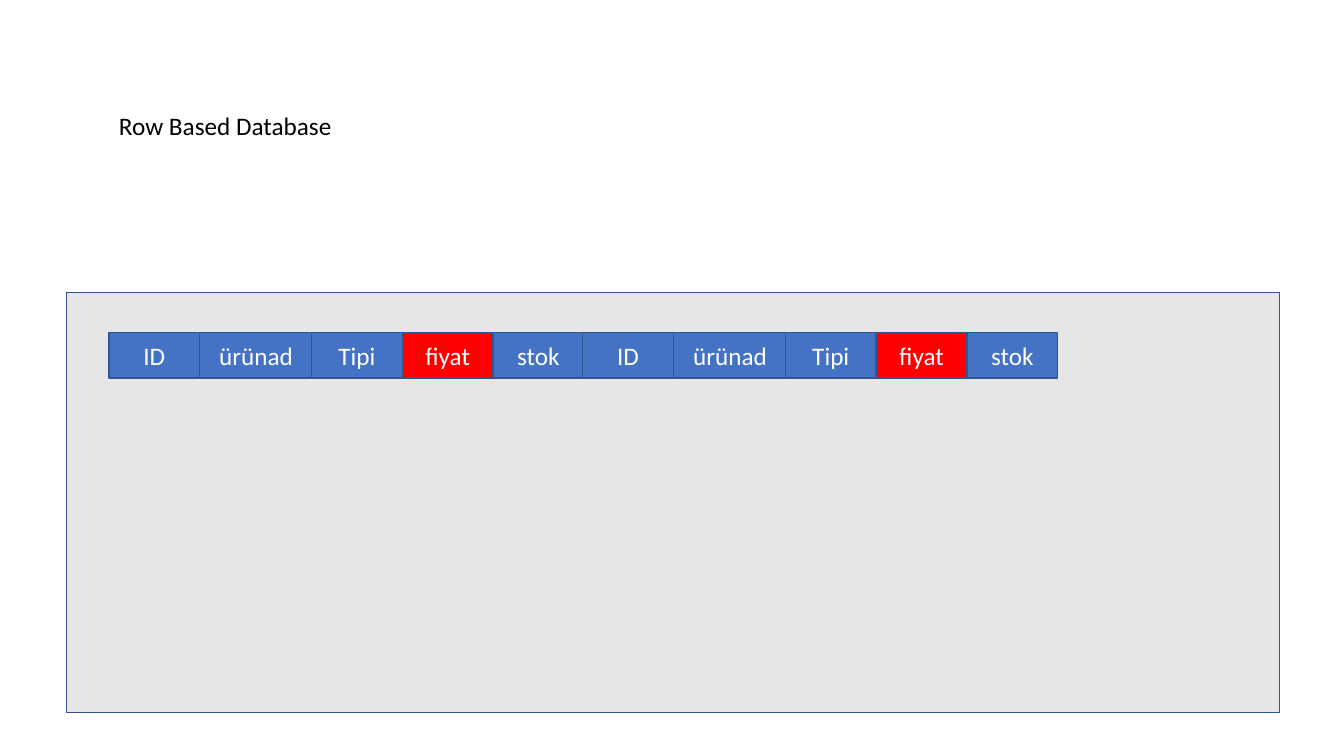
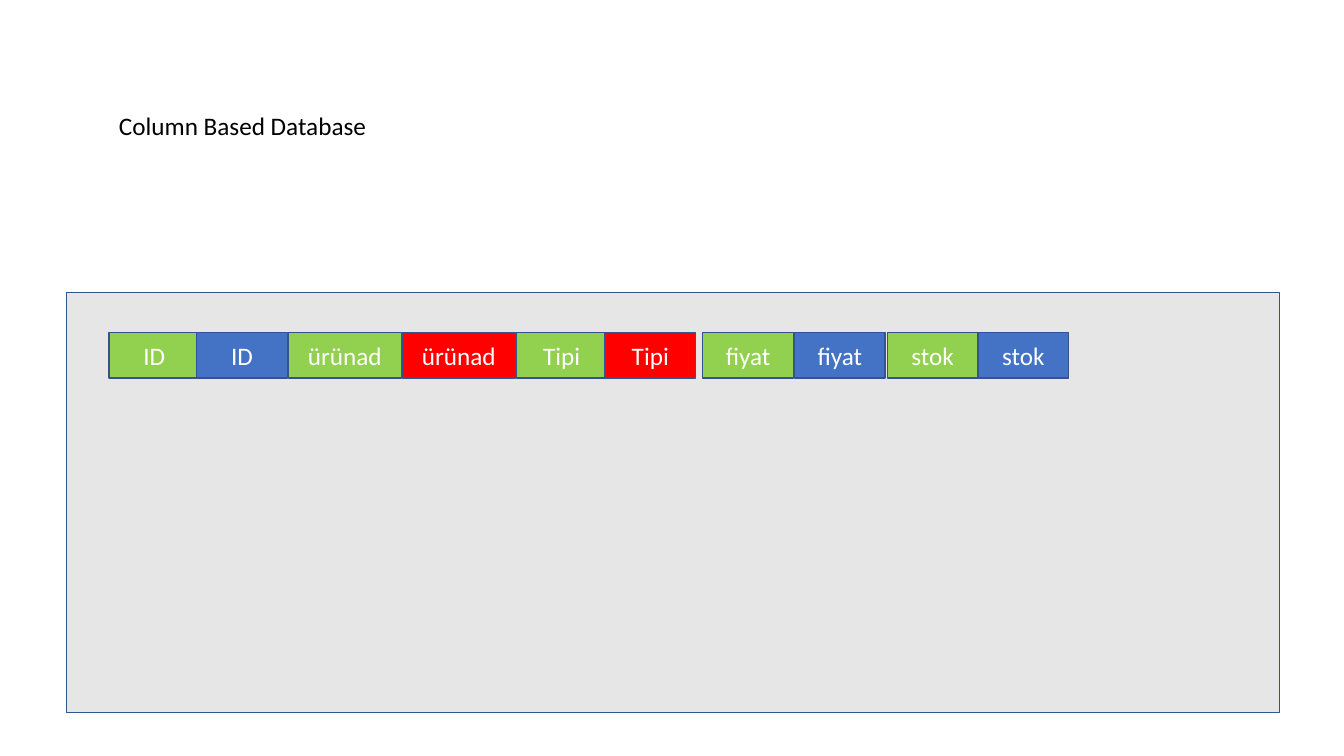
from typing import NamedTuple

from pptx import Presentation
from pptx.dml.color import RGBColor
from pptx.enum.shapes import MSO_SHAPE
from pptx.enum.text import MSO_ANCHOR, MSO_AUTO_SIZE, PP_ALIGN
from pptx.util import Inches, Pt

WHITE = RGBColor(0xFF, 0xFF, 0xFF)
BLACK = RGBColor(0x00, 0x00, 0x00)
GRAY = RGBColor(0xE7, 0xE6, 0xE6)
BLUE = RGBColor(0x44, 0x72, 0xC4)
DARK_BLUE = RGBColor(0x32, 0x54, 0x91)
RED = RGBColor(0xFF, 0x00, 0x00)
GREEN = RGBColor(0x92, 0xD0, 0x50)

CELL_TOP, CELL_HEIGHT = 3.3, 0.45
FIRST_LEFT = 1.08
RECORD_PITCH = 4.7
WIDTHS = {"ID": 0.9, "ürünad": 1.12, "Tipi": 0.9, "fiyat": 0.9, "stok": 0.9}
FRAME_FORMAT = {"margin_left": Inches(0.1), "margin_right": Inches(0.1),
                "margin_top": Inches(0.05), "margin_bottom": Inches(0.05)}


class Cell(NamedTuple):
    label: str
    left: float
    fill: RGBColor


class Page(NamedTuple):
    title: str
    title_width: float
    cells: list[Cell]


def row_cells() -> list[Cell]:
    """Two whole records, one after the other."""
    offsets = {"ID": 0, "ürünad": 0.9, "Tipi": 2.01, "fiyat": 2.91, "stok": 3.81}
    return [Cell(label, FIRST_LEFT + record * RECORD_PITCH + offset,
                 RED if label == "fiyat" else BLUE)
            for record in range(2) for label, offset in offsets.items()]


def column_cells() -> list[Cell]:
    """The two values of each column side by side."""
    columns = [("ID", 1.08, 1.95, BLUE), ("ürünad", 2.86, 3.99, RED),
               ("Tipi", 5.12, 6, RED), ("fiyat", 6.97, 7.88, BLUE),
               ("stok", 8.8, 9.7, BLUE)]
    return [Cell(label, left, fill)
            for label, first, second, second_fill in columns
            for left, fill in ((first, GREEN), (second, second_fill))]


PAGES = [Page("Row Based Database", 2.33, row_cells()),
         Page("Column Based Database", 2.68, column_cells())]


def write_text(box, text: str, color: RGBColor, align: PP_ALIGN,
               anchor: MSO_ANCHOR, wrap: bool) -> None:
    frame = box.text_frame
    frame_format = FRAME_FORMAT | {"vertical_anchor": anchor, "word_wrap": wrap}
    for name, value in frame_format.items():
        setattr(frame, name, value)
    para = frame.paragraphs[0]
    para.alignment = align
    span = para.add_run()
    span.text = text
    for name, value in {"name": "Calibri", "size": Pt(18)}.items():
        setattr(span.font, name, value)
    span.font.color.rgb = color


def add_box(slide, left: float, top: float, width: float, height: float,
            fill: RGBColor):
    box = slide.shapes.add_shape(MSO_SHAPE.RECTANGLE, Inches(left), Inches(top),
                                 Inches(width), Inches(height))
    box.shadow.inherit = False
    box.fill.solid()
    box.fill.fore_color.rgb = fill
    box.line.color.rgb = DARK_BLUE
    box.line.width = Pt(1)
    return box


def add_page(deck, page: Page) -> None:
    slide = deck.slides.add_slide(deck.slide_layouts[5])

    # Title
    title = slide.shapes.title
    place = {"left": FIRST_LEFT, "top": 1.04, "width": page.title_width, "height": 0.4}
    for name, value in place.items():
        setattr(title, name, Inches(value))
    write_text(title, page.title, BLACK, PP_ALIGN.LEFT, MSO_ANCHOR.TOP, False)
    title.text_frame.auto_size = MSO_AUTO_SIZE.SHAPE_TO_FIT_TEXT

    # Storage block and its cells
    add_box(slide, 0.66, 2.9, 12.03, 4.17, GRAY)
    for cell in page.cells:
        box = add_box(slide, cell.left, CELL_TOP, WIDTHS[cell.label], CELL_HEIGHT, cell.fill)
        write_text(box, cell.label, WHITE, PP_ALIGN.CENTER, MSO_ANCHOR.MIDDLE, True)


def main() -> None:
    deck = Presentation()
    deck.slide_width, deck.slide_height = Inches(13.33), Inches(7.5)
    for page in PAGES:
        add_page(deck, page)
    deck.save("out.pptx")


if __name__ == "__main__":
    main()
